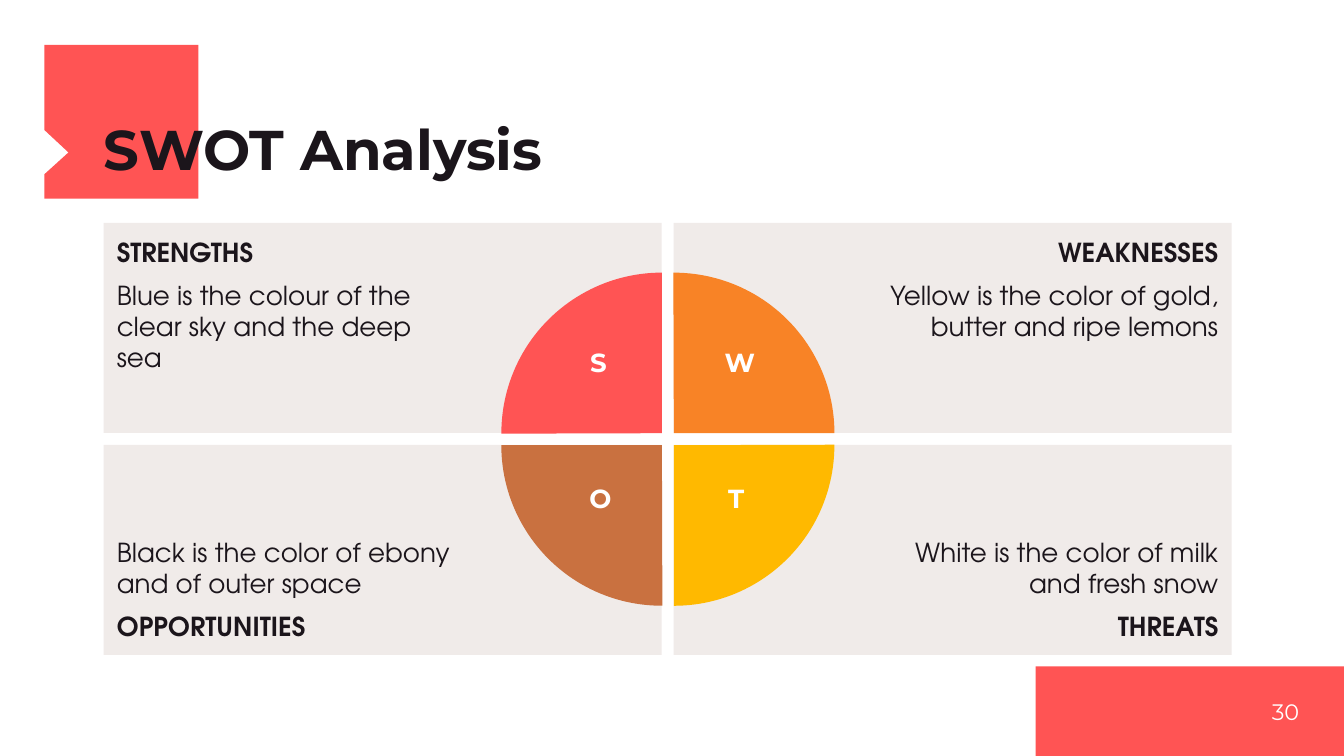
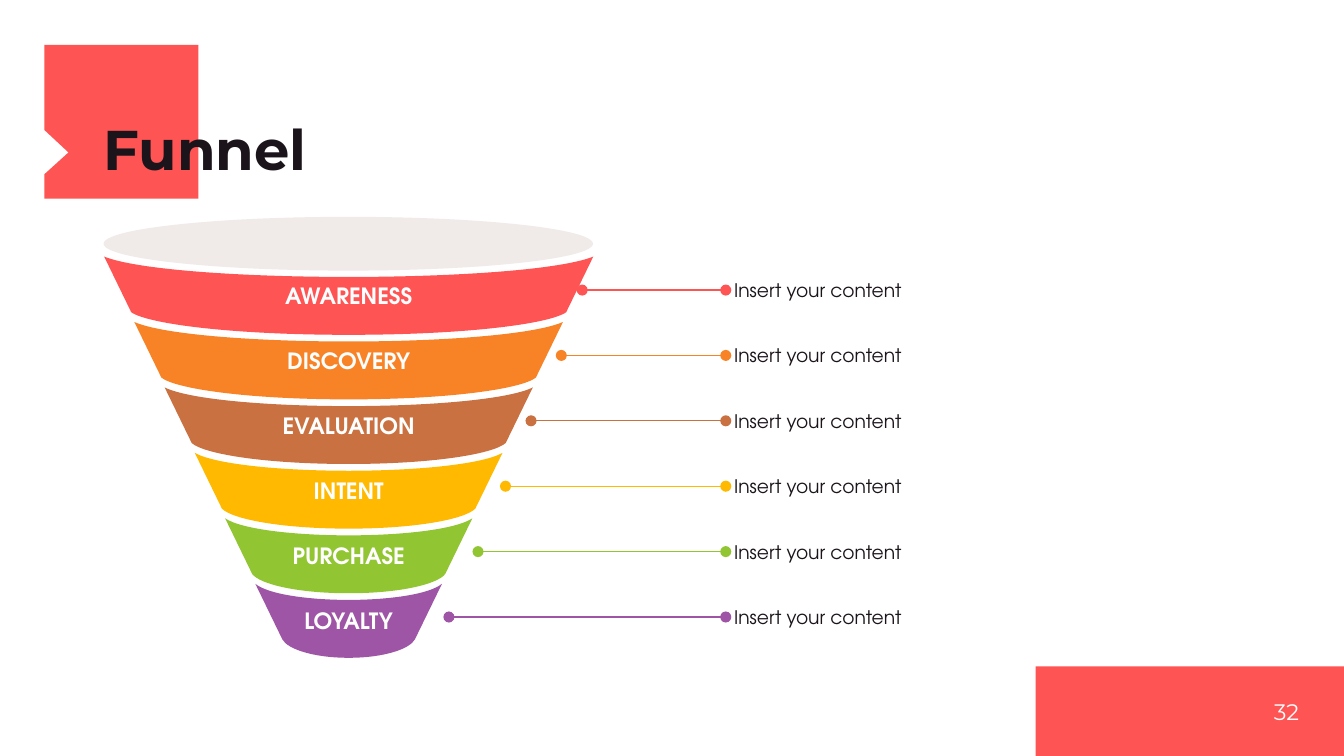
from dataclasses import dataclass

from lxml.etree import SubElement
from pptx import Presentation
from pptx.dml.color import RGBColor
from pptx.enum.shapes import MSO_CONNECTOR as Connector, MSO_SHAPE as Shape
from pptx.enum.text import MSO_ANCHOR as Anchor, PP_ALIGN as Align
from pptx.oxml.ns import qn
from pptx.util import Pt


@dataclass(frozen=True)
class Theme:
    coral: str = "FF5454"
    orange: str = "F88326"
    brown: str = "C97140"
    yellow: str = "FFB900"
    green: str = "92C532"
    purple: str = "9F55A5"
    sand: str = "F0EBE9"
    ink: str = "1B151B"
    white: str = "FFFFFF"
    heading_font: str = "Montserrat"
    body_font: str = "TeX Gyre Adventor"
    title_size: int = 30
    card_size: int = 14
    label_size: int = 12
    note_size: int = 10


theme = Theme()


def paint(shape, color):
    shape.shadow.inherit = False
    shape.fill.solid()
    shape.fill.fore_color.rgb = RGBColor.from_string(color)
    shape.line.fill.background()


def write(shape, lines, size, color, font, bold=False, align=Align.LEFT,
          anchor=Anchor.TOP, insets=(0, 0, 0, 0)):
    left, top, right, bottom = map(Pt, insets)
    frame = shape.text_frame
    frame_format = {
        "word_wrap": True, "vertical_anchor": anchor,
        "margin_left": left, "margin_top": top,
        "margin_right": right, "margin_bottom": bottom,
    }
    for name, value in frame_format.items():
        setattr(frame, name, value)
    for index, (text, para_format) in enumerate(lines):
        para = frame.paragraphs[0] if index == 0 else frame.add_paragraph()
        values = {"alignment": align, **para_format}
        span = para.add_run()
        span.text = text
        font_format = {"name": font, "size": Pt(size), "bold": values.pop("bold", bold)}
        for name, value in values.items():
            setattr(para, name, value)
        for name, value in font_format.items():
            setattr(span.font, name, value)
        span.font.color.rgb = RGBColor.from_string(color)


deck = Presentation()
deck.slide_width, deck.slide_height = Pt(720), Pt(405)

margin = 55.5
corner = [(23.8, 24), (106.3, 24), (106.3, 106.5), (23.8, 106.5),
          (23.8, 93.4), (36.7, 81.7), (23.8, 69.7)]
pages = []
for title, number in (("SWOT Analysis", "30"), ("Funnel", "32")):
    page = deck.slides.add_slide(deck.slide_layouts[6])
    pages.append(page)
    points = [(Pt(x), Pt(y)) for x, y in corner]
    builder = page.shapes.build_freeform(*points[0], scale=1)
    builder.add_line_segments(points[1:], close=True)
    paint(builder.convert_to_shape(), theme.coral)
    footer = page.shapes.add_shape(
        Shape.RECTANGLE, Pt(554.8), Pt(357), Pt(165.2), Pt(48))
    paint(footer, theme.coral)
    box = page.shapes.add_textbox(Pt(margin), Pt(66), Pt(404), Pt(31))
    write(box, [(title, {"line_spacing": 0.8})], theme.title_size, theme.ink,
          theme.heading_font, bold=True, anchor=Anchor.BOTTOM)
    box = page.shapes.add_textbox(Pt(648), Pt(357), Pt(48), Pt(48))
    write(box, [(number, {})], theme.label_size, theme.white, theme.heading_font,
          align=Align.RIGHT, anchor=Anchor.MIDDLE)

swot, funnel = pages

card_width, card_height, gap = 299, 112.5, 6.4
cards_top = 119.4
pie_left, pie_top, pie_size = 268.6, 146.1, 172
heading_format = {"bold": True}
body_format = {"space_before": Pt(6), "space_after": Pt(6)}
quadrants = [
    (0, 0, "STRENGTHS", "Blue is the colour of the clear sky and the deep sea",
     theme.coral, 0, "S", 320.7),
    (0, 1, "WEAKNESSES", "Yellow is the color of gold, butter and ripe lemons",
     theme.orange, 90, "W", 396.4),
    (1, 0, "OPPORTUNITIES", "Black is the color of ebony and of outer space",
     theme.brown, 270, "O", 321.7),
    (1, 1, "THREATS", "White is the color of milk and fresh snow",
     theme.yellow, 180, "T", 394.5),
]
for row, column, heading, body, *_ in quadrants:
    card = swot.shapes.add_shape(
        Shape.RECTANGLE, Pt(margin + column * (card_width + gap)),
        Pt(cards_top + row * (card_height + gap)), Pt(card_width), Pt(card_height))
    paint(card, theme.sand)
    if row == 0:
        lines = [(heading, heading_format), (body, body_format)]
    else:
        lines = [(body, {}), (heading, {**heading_format, **body_format})]
    write(card, lines, theme.card_size, theme.ink, theme.body_font,
          align=Align.RIGHT if column else Align.LEFT,
          anchor=Anchor.BOTTOM if row else Anchor.TOP,
          insets=(108, 7.2, 7.2, 7.2) if column else (7.2, 7.2, 108, 7.2))

for row, column, _, _, color, turn, letter, center in quadrants:
    pie = swot.shapes.add_shape(
        Shape.PIE, Pt(pie_left + column * gap), Pt(pie_top + row * gap),
        Pt(pie_size), Pt(pie_size))
    pie.adjustments[0], pie.adjustments[1] = 107.89, 162
    pie.rotation = turn
    paint(pie, color)
    box = swot.shapes.add_textbox(Pt(center - 22), Pt(182 + row * 72.7), Pt(44), Pt(33))
    write(box, [(letter, {})], theme.card_size, theme.white, theme.heading_font,
          bold=True, align=Align.CENTER, insets=(7.2, 3.6, 7.2, 3.6))

center = 186.8
upper_curve = [(1, 0), (0.86, 0.67), (0.42, 1), (0, 1)]
lower_curve = [(1, 0), (0.92, 0.53), (0.53, 1), (0, 1)]
curve_starts = (0, 3, 7, 10)
stages = [
    ("AWARENESS", theme.coral, 311.9),
    ("DISCOVERY", theme.orange, 300.7),
    ("EVALUATION", theme.brown, 284.5),
    ("INTENT", theme.yellow, 270.8),
    ("PURCHASE", theme.green, 256.1),
    ("LOYALTY", theme.purple, 240.5),
]
for index, (label, color, line_start) in enumerate(stages):
    top = 137.5 + index * 35.05
    half_width = 131 - index * 16.2
    middle = 148.4 + index * 34.6
    edges = [
        (upper_curve, -half_width, top, middle),
        (lower_curve, half_width - 14.5, top + 29.8, middle + 31),
    ]
    points = []
    for curve, reach, start, bottom in edges:
        arc = [(x * reach, start + y * (bottom - start)) for x, y in curve]
        arc += [(-x, y) for x, y in arc[-2::-1]]
        points += [(Pt(center + x), Pt(y)) for x, y in arc]
    builder = funnel.shapes.build_freeform(*points[0], scale=1)
    builder.add_line_segments(points[1:], close=True)
    band = builder.convert_to_shape()
    outline = next(band._element.iter(qn("a:path")))
    segments = outline.findall(qn("a:lnTo"))
    for first in curve_starts:
        bend = SubElement(outline, qn("a:cubicBezTo"))
        segments[first].addprevious(bend)
        for segment in segments[first:first + 3]:
            bend.append(segment[0])
            outline.remove(segment)
    paint(band, color)
    write(band, [(label, {})], theme.label_size, theme.white, theme.body_font,
          bold=True, align=Align.CENTER, anchor=Anchor.MIDDLE, insets=(5, 3, 5, 3))

rim = funnel.shapes.add_shape(Shape.OVAL, Pt(margin), Pt(116.2), Pt(262.2), Pt(28.8))
paint(rim, theme.sand)

for index, (_, color, line_start) in enumerate(stages):
    level = 155.4 + index * 35.03
    link = funnel.shapes.add_connector(
        Connector.STRAIGHT, Pt(line_start), Pt(level), Pt(388.8), Pt(level))
    link.line.width = Pt(0.75)
    link.line.color.rgb = RGBColor.from_string(color)
    stroke = link._element.spPr.find(qn("a:ln"))
    for end in ("a:headEnd", "a:tailEnd"):
        SubElement(stroke, qn(end), type="oval")
    SubElement(link._element.spPr, qn("a:effectLst"))
    box = funnel.shapes.add_textbox(Pt(393.3), Pt(level - 12.6), Pt(203), Pt(25.2))
    write(box, [("Insert your content", {})], theme.note_size, theme.ink,
          theme.body_font, anchor=Anchor.MIDDLE)

deck.save("out.pptx")
